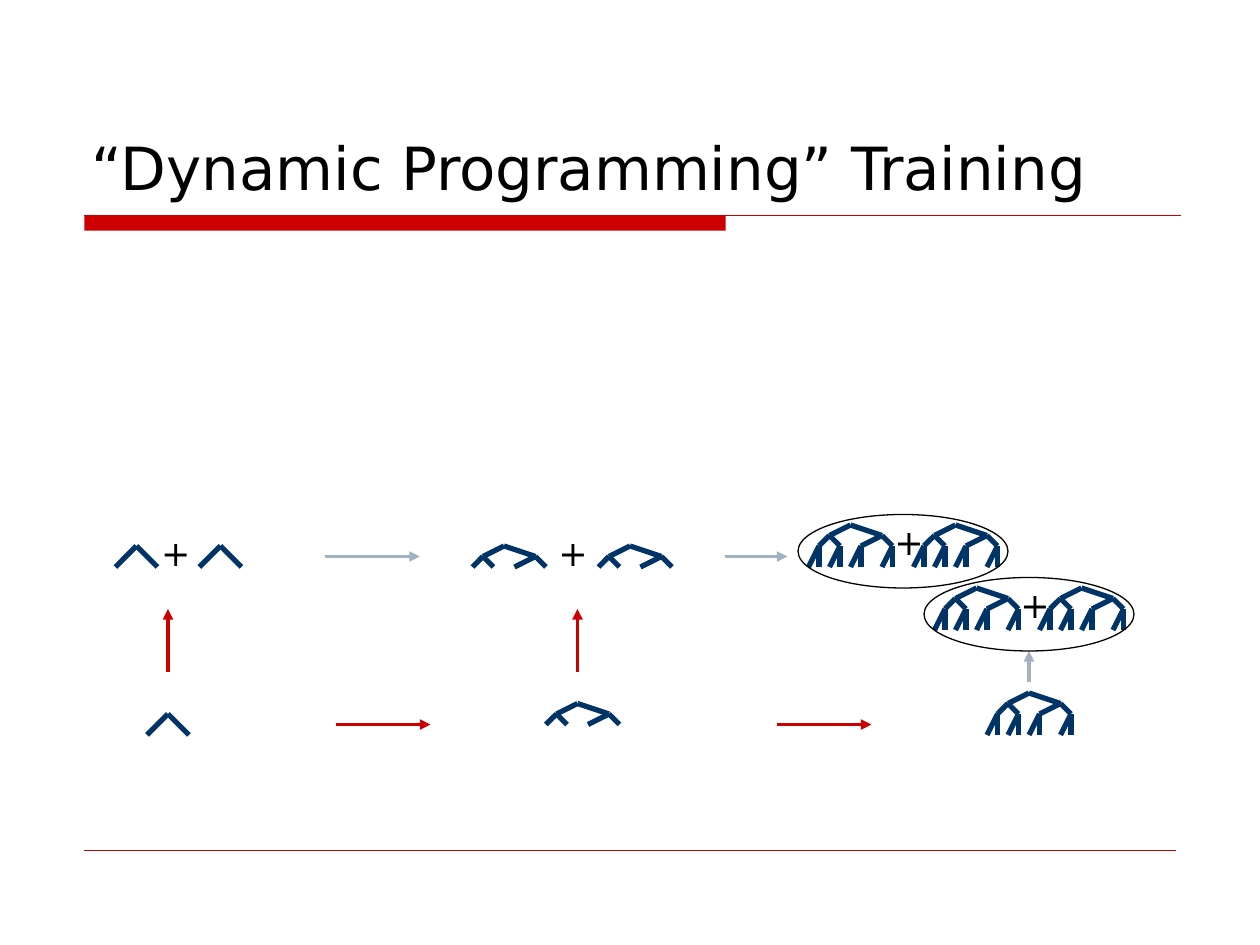
from lxml.etree import SubElement
from pptx import Presentation
from pptx.dml.color import RGBColor
from pptx.enum.shapes import MSO_CONNECTOR as CONN, MSO_SHAPE as SHAPE
from pptx.enum.text import MSO_ANCHOR as ANCHOR
from pptx.oxml.ns import qn
from pptx.util import Inches, Pt

THEME = {
    "font": "DejaVu Sans", "title_size": 34, "plus_size": 20,
    "text": "000000", "accent": "CC0000", "tree": "003366", "muted": "A3B2C1",
}
TITLE = "“Dynamic Programming” Training"

# The diagram lies on a grid of twelfths of an inch.
GRID = 12

# Branches of each tree, relative to its apex.
FORK = [(0, 0, -2, 2), (0, 0, 2, 2)]
MEDIUM = [(0, 0, -2, 1), (0, 0, 3, 1),
          (-2, 1, -3, 2), (-2, 1, -1, 2), (3, 1, 1, 2), (3, 1, 4, 2)]
LARGE = MEDIUM + [(x, 2, x - dx, 4) for x in (-3, -1, 1, 4) for dx in (1, 0)]

TREES = [
    (FORK, [(13, 52), (21, 52), (16, 68)]),
    (MEDIUM, [(48, 52), (60, 52), (55, 67)]),
    (LARGE, [(81, 50), (91, 50), (93, 56), (103, 56), (98, 66)]),
]
PLUSES = [(14.16, 50), (52, 50), (84, 49), (96, 55)]
ARROWS = [
    ("muted", [(31, 53, 40, 53), (69, 53, 75, 53), (98, 65, 98, 62)]),
    ("accent", [(32, 69, 41, 69), (74, 69, 83, 69),
                (16, 64, 16, 58), (55, 64, 55, 58)]),
]
GROUPS = [(76, 49), (88, 55)]
GROUP_SIZE = (20, 7)


def color(name):
    return RGBColor.from_string(THEME[name])


def on_grid(*values):
    return [v / GRID for v in values]


def add_line(slide, ends, name, width, arrow=False):
    line = slide.shapes.add_connector(CONN.STRAIGHT, *map(Inches, ends))
    line.line.color.rgb = color(name)
    line.line.width = Pt(width)
    if arrow:
        SubElement(line.line._get_or_add_ln(), qn("a:tailEnd"), type="triangle")
    SubElement(line._element.spPr, qn("a:effectLst"))


def add_text(slide, box, text, size, anchor=ANCHOR.TOP):
    tf = slide.shapes.add_textbox(*map(Inches, box)).text_frame
    tf.word_wrap = True
    tf.vertical_anchor = anchor
    p = tf.paragraphs[0]
    p.text = text
    p.font.name = THEME["font"]
    p.font.size = Pt(THEME[size])
    p.font.color.rgb = color("text")


def add_header_and_footer(slide):
    bar = slide.shapes.add_shape(
        SHAPE.RECTANGLE, *map(Inches, (0.67, 1.71, 5.09, 0.12)))
    bar.shadow.inherit = False
    bar.fill.solid()
    bar.fill.fore_color.rgb = color("accent")
    bar.line.fill.background()
    add_line(slide, (0.67, 1.71, 9.37, 1.71), "accent", 0.75)
    add_line(slide, (0.67, 6.75, 9.33, 6.75), "accent", 0.25)
    add_text(slide, (0.63, 0.33, 8.75, 1.33), TITLE, "title_size", ANCHOR.BOTTOM)


def add_diagram(slide):
    for branches, apexes in TREES:
        for x, y in apexes:
            for x1, y1, x2, y2 in branches:
                add_line(slide, on_grid(x + x1, y + y1, x + x2, y + y2), "tree", 3)
    for x, y in PLUSES:
        add_text(slide, (*on_grid(x, y), 0.42, 0.44), "+", "plus_size")
    for name, arrows in ARROWS:
        for ends in arrows:
            add_line(slide, on_grid(*ends), name, 2, arrow=True)
    for corner in GROUPS:
        box = on_grid(*corner, *GROUP_SIZE)
        ring = slide.shapes.add_shape(SHAPE.OVAL, *map(Inches, box))
        ring.shadow.inherit = False
        ring.fill.background()
        ring.line.color.rgb = color("text")
        ring.line.width = Pt(0.75)


def main():
    prs = Presentation()
    prs.slide_width, prs.slide_height = Inches(10), Inches(7.5)
    slide = prs.slides.add_slide(prs.slide_layouts[6])
    add_header_and_footer(slide)
    add_diagram(slide)
    prs.save("out.pptx")


if __name__ == "__main__":
    main()
